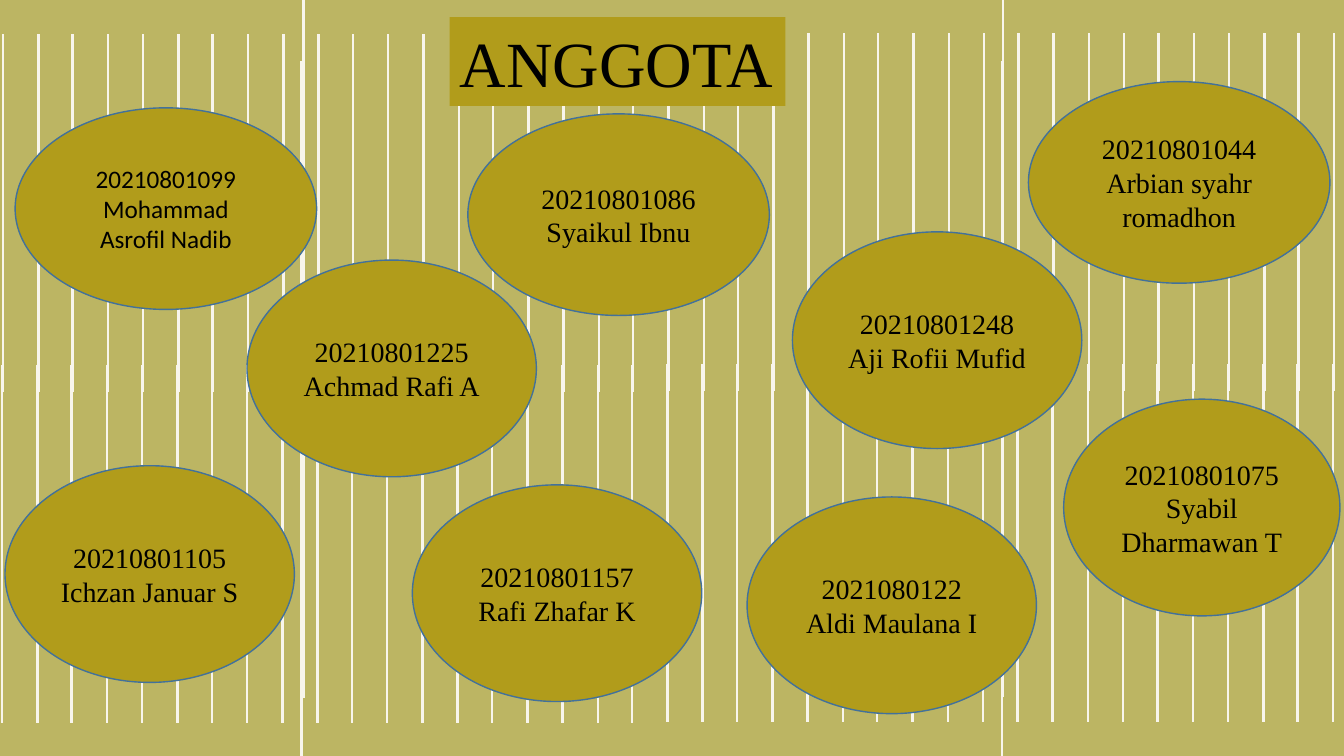
"""Build the ANGGOTA slide: member ovals over a striped background."""
from dataclasses import dataclass

from lxml import etree
from pptx import Presentation, util as u
from pptx.dml.color import RGBColor
from pptx.enum import shapes, text
from pptx.oxml.ns import qn

PX = 9144
W, H = 1333, 750
STRIPE_STEP = 34.74
BANK_HEIGHT = 355
SERIF = "Times New Roman"
BACKGROUND, STRIPE, GOLD, OUTLINE, BLACK = "BCB563", "F8F5EC", "B19C1B", "42719B", "000000"


@dataclass
class Bank:
    left: int
    top: int
    count: int


@dataclass
class Member:
    number: str
    name: str
    left: int
    top: int
    width: int = 287
    height: int = 215
    size: int = 20
    font: str = SERIF


BANKS = [
    Bank(3, 34, 19),
    Bank(2, 362, 19),
    Bank(663, 33, 20),
    Bank(662, 361, 20),
]
DIVIDERS = [(301, 0, 692), (299, 61, H), (995, 0, 691), (994, 61, H)]
MEMBERS = [
    Member("20210801099", "Mohammad Asrofil Nadib", 15, 107, 299, 200, 18, "Calibri"),
    Member("20210801044", "Arbian syahr romadhon", 1020, 81, 299, 200),
    Member("20210801086", "Syaikul Ibnu", 464, 113, 299, 200),
    Member("20210801225", "Achmad Rafi A", 245, 258),
    Member("20210801075", "Syabil Dharmawan T", 1055, 396, 274),
    Member("20210801105", "Ichzan Januar S", 5, 462),
    Member("2021080122", "Aldi Maulana I", 741, 493),
    Member("20210801248", "Aji Rofii Mufid", 786, 230),
    Member("20210801157", "Rafi Zhafar K", 409, 481),
]


def px(n: int) -> u.Emu:
    return u.Emu(n * PX)


def paint(fmt, colour: str) -> None:
    fmt.solid()
    fmt.fore_color.rgb = RGBColor.from_string(colour)


def add_run(p, words: str, size: int, font: str) -> None:
    r = p.add_run()
    r.text = words
    r.font.size = u.Pt(size)
    r.font.name = font
    paint(r.font.fill, BLACK)


def draw_stripe(s, x: int, top: int, bottom: int) -> None:
    ln = s.shapes.add_connector(shapes.MSO_CONNECTOR.STRAIGHT, px(x), px(top), px(x), px(bottom))
    paint(ln.line.fill, STRIPE)
    ln.line.width = u.Pt(1.75)
    etree.SubElement(ln.element.spPr, qn("a:effectLst"))


def draw_bank(s, bank: Bank) -> None:
    for i in range(bank.count):
        x = bank.left + round(i * STRIPE_STEP)
        draw_stripe(s, x, bank.top, bank.top + BANK_HEIGHT)


def draw_title(s, words: str) -> None:
    sp = s.shapes.title
    sp.left, sp.top, sp.width, sp.height = px(446), px(17), px(333), px(88)
    paint(sp.fill, GOLD)
    tf = sp.text_frame
    tf.word_wrap = True
    tf.auto_size = text.MSO_AUTO_SIZE.NONE
    tf.vertical_anchor = text.MSO_ANCHOR.BOTTOM
    p = tf.paragraphs[0]
    p.alignment = text.PP_ALIGN.LEFT
    add_run(p, words, 46, SERIF)
    sp.element.getparent().append(sp.element)


def draw_member(s, m: Member) -> None:
    sp = s.shapes.add_shape(
        shapes.MSO_SHAPE.OVAL, px(m.left), px(m.top), px(m.width), px(m.height))
    sp.shadow.inherit = False
    paint(sp.fill, GOLD)
    paint(sp.line.fill, OUTLINE)
    sp.line.width = u.Pt(1)
    tf = sp.text_frame
    tf.word_wrap = True
    tf.vertical_anchor = text.MSO_ANCHOR.MIDDLE
    p = tf.paragraphs[0]
    p.alignment = text.PP_ALIGN.CENTER
    add_run(p, f"{m.number} {m.name}", m.size, m.font)


def main() -> None:
    prs = Presentation()
    prs.slide_width, prs.slide_height = px(W), px(H)
    s = prs.slides.add_slide(prs.slide_layouts[5])
    paint(s.background.fill, BACKGROUND)
    for bank in BANKS:
        draw_bank(s, bank)
    for divider in DIVIDERS:
        draw_stripe(s, *divider)
    draw_title(s, "ANGGOTA")
    for member in MEMBERS:
        draw_member(s, member)
    prs.save("out.pptx")


if __name__ == "__main__":
    main()
